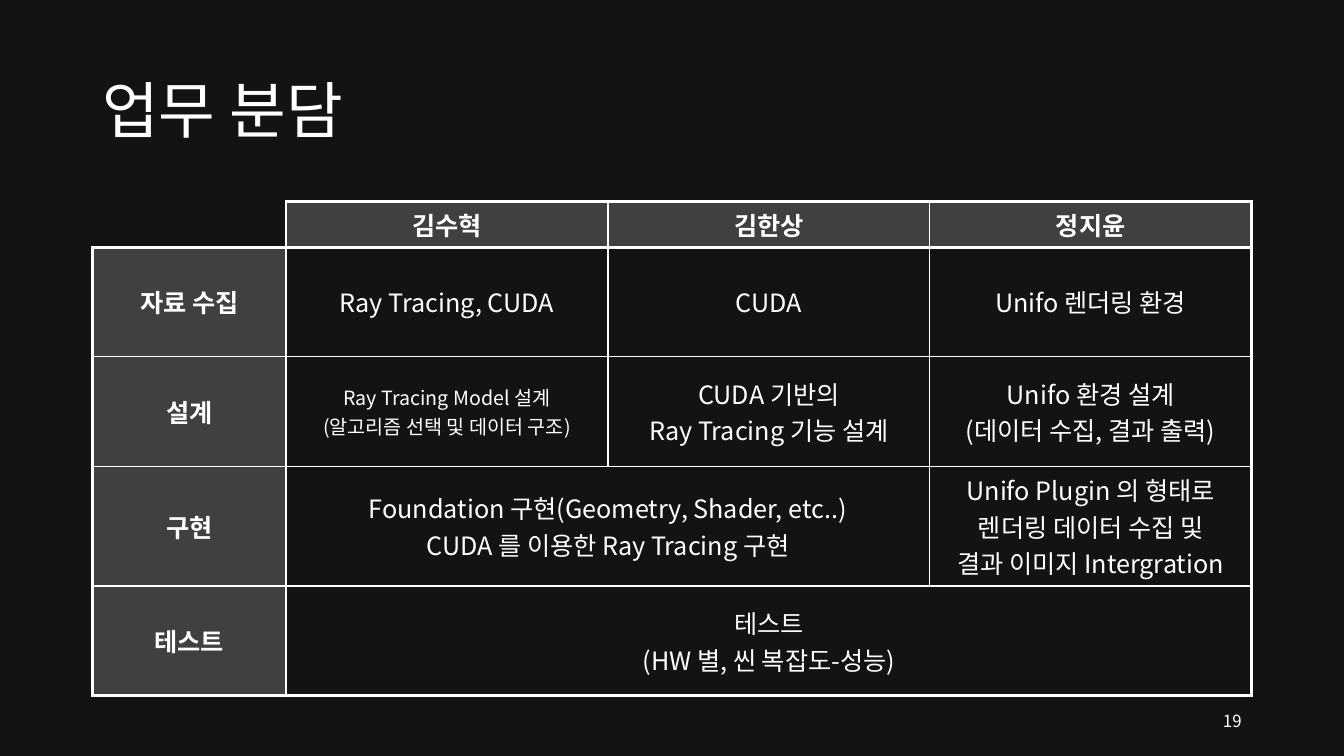
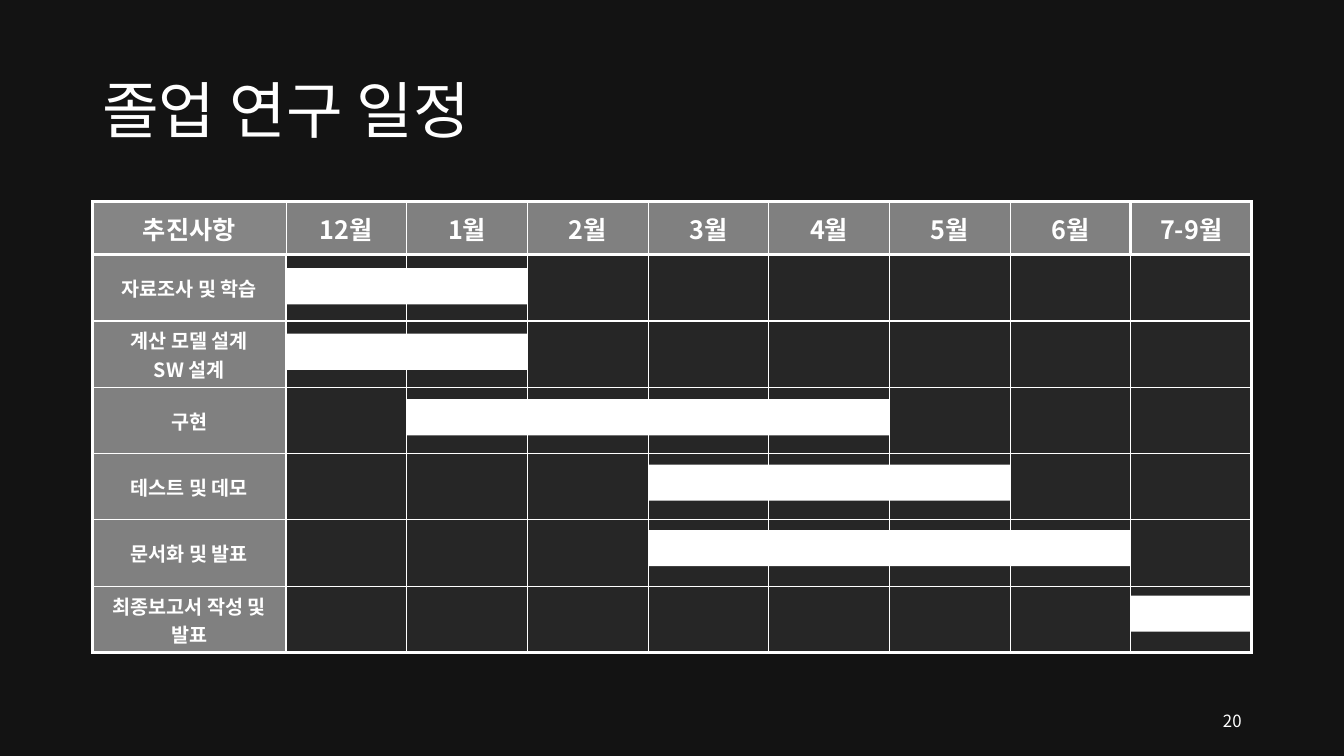
import pptx
import pptx.dml.color
import pptx.enum.shapes
import pptx.enum.text
import pptx.oxml.ns
import pptx.util
from lxml import etree

Cm = pptx.util.Cm
Pt = pptx.util.Pt
ALIGN = pptx.enum.text.PP_ALIGN

# Shared style
FONT = "Noto Sans CJK KR"
WHITE, BACKGROUND = "FFFFFF", "131313"
DARK_GREY, MID_GREY, CORNER_GREY, GRID_GREY = "404040", "808080", "858585", "262626"
NONE, THIN, THICK = 0, 1, 2.25
LEFT, WIDTH, TABLE_TOP = 2.33, 29.21, 5.08
LABEL_WIDTH = 4.88

# Slide 19: who does what; a cell is text, or (text, columns spanned)
ROLES_TITLE = "업무 분담"
ROLES = [
    ["", "김수혁", "김한상", "정지윤"],
    ["자료 수집", "Ray Tracing, CUDA", "CUDA", "Unifo 렌더링 환경"],
    ["설계", "Ray Tracing Model 설계\n(알고리즘 선택 및 데이터 구조)",
     "CUDA 기반의\nRay Tracing 기능 설계", "Unifo 환경 설계\n(데이터 수집, 결과 출력)"],
    ["구현", ("Foundation 구현(Geometry, Shader, etc..)\nCUDA 를 이용한 Ray Tracing 구현", 2),
     None, "Unifo Plugin 의 형태로\n렌더링 데이터 수집 및\n결과 이미지 Intergration"],
    ["테스트", ("테스트\n(HW 별, 씬 복잡도-성능)", 3), None, None],
]
ROLES_HEIGHTS = [1.15, 2.76, 2.76, 3.02, 2.76]
SMALL_ROLE = (2, 1)

# Slide 20: task, first month column, number of months
SCHEDULE_TITLE = "졸업 연구 일정"
SCHEDULE_HEADER = ["추진사항", "12월", "1월", "2월", "3월", "4월", "5월", "6월", "7-9월"]
TASKS = [
    ("자료조사 및 학습", 0, 2),
    ("계산 모델 설계\nSW 설계", 0, 2),
    ("구현", 1, 4),
    ("테스트 및 데모", 3, 3),
    ("문서화 및 발표", 3, 4),
    ("최종보고서 작성 및 발표", 7, 1),
]
SCHEDULE_HEIGHTS = [1.34] + [1.67] * len(TASKS)
BAR_OFFSET, BAR_HEIGHT, BAR_PITCH = 0.34, 0.91, 1.65


def color(value):
    return pptx.dml.color.RGBColor.from_string(value)


def write(frame, text, size, align, bold=False, line_spacing=None):
    frame.word_wrap = True
    frame.text = text
    for para in frame.paragraphs:
        para.alignment = align
        para.line_spacing = line_spacing
        for span in para.runs:
            span.font.size = Pt(size)
            span.font.bold = bold
            span.font.name = FONT
            span.font.color.rgb = color(WHITE)
            east_asian = etree.SubElement(span._r.get_or_add_rPr(), pptx.oxml.ns.qn("a:ea"))
            east_asian.set("typeface", FONT)


def add_text(page, place, text, size, align, line_spacing=None):
    box = page.shapes.add_textbox(*(Cm(length) for length in place))
    box.text_frame.vertical_anchor = pptx.enum.text.MSO_ANCHOR.MIDDLE
    write(box.text_frame, text, size, align, line_spacing=line_spacing)


def add_page(deck, title, number):
    page = deck.slides.add_slide(deck.slide_layouts[6])
    page.background.fill.solid()
    page.background.fill.fore_color.rgb = color(BACKGROUND)
    add_text(page, (LEFT, 1.02, WIDTH, 3.68), title, 44, ALIGN.LEFT, 0.9)
    add_text(page, (23.92, 17.66, 7.62, 1.02), str(number), 12, ALIGN.RIGHT)
    return page


def add_grid(page, heights, column_count):
    table = page.shapes.add_table(len(heights), column_count, Cm(LEFT), Cm(TABLE_TOP),
                                  Cm(WIDTH), Cm(sum(heights))).table
    table.first_row = table.horz_banding = False
    for row, height in zip(table.rows, heights):
        row.height = Cm(height)
    other_width = (WIDTH - LABEL_WIDTH) / (column_count - 1)
    for index, column in enumerate(table.columns):
        column.width = Cm(other_width if index else LABEL_WIDTH)
    return table


def set_borders(cell, widths):
    """widths maps L, R, T, B to points, in that order; 0 hides an edge."""
    properties = cell._tc.get_or_add_tcPr()
    for position, (side, points) in enumerate(widths.items()):
        line = etree.Element(pptx.oxml.ns.qn("a:ln" + side), w=str(Pt(points)))
        if points:
            fill = etree.SubElement(line, pptx.oxml.ns.qn("a:solidFill"))
            etree.SubElement(fill, pptx.oxml.ns.qn("a:srgbClr"), val=WHITE)
        else:
            etree.SubElement(line, pptx.oxml.ns.qn("a:noFill"))
        properties.insert(position, line)


def weight(edge, thick_edges):
    return THICK if edge in thick_edges else THIN


def fill_cell(cell, text, fill, size, bold):
    if fill:
        cell.fill.solid()
        cell.fill.fore_color.rgb = color(fill)
    else:
        cell.fill.background()
    cell.vertical_anchor = pptx.enum.text.MSO_ANCHOR.MIDDLE
    write(cell.text_frame, text, size, ALIGN.CENTER, bold)


def build_roles(deck):
    page = add_page(deck, ROLES_TITLE, 19)
    rows, columns = len(ROLES), len(ROLES[0])
    table = add_grid(page, ROLES_HEIGHTS, columns)
    for r, line in enumerate(ROLES):
        for c, content in enumerate(line):
            if content is None:
                continue
            text, span = content if isinstance(content, tuple) else (content, 1)
            cell = table.cell(r, c)
            if span > 1:
                cell.merge(table.cell(r, c + span - 1))
            heading = r == 0 or c == 0
            fill = DARK_GREY if heading else BACKGROUND
            fill_cell(cell, text, fill if text else None,
                      14 if (r, c) == SMALL_ROLE else 18, heading)
            # The empty corner keeps only its inner edges
            if not text:
                set_borders(cell, {"L": NONE, "R": THICK, "T": NONE, "B": THICK})
                continue
            across = {"T": weight(r, (0, 1, rows)), "B": weight(r + 1, (1, rows))}
            right = {"R": weight(c + span, (1, columns))}
            set_borders(cell, {"L": weight(c, (0, 1)), **right, **across})
            for hidden in range(c + 1, c + span):
                last = right if hidden == c + span - 1 else {}
                set_borders(table.cell(r, hidden), {**last, **across})


def build_schedule(deck):
    page = add_page(deck, SCHEDULE_TITLE, 20)
    rows, columns = len(SCHEDULE_HEIGHTS), len(SCHEDULE_HEADER)
    table = add_grid(page, SCHEDULE_HEIGHTS, columns)
    lines = [SCHEDULE_HEADER] + [[task] + [""] * (columns - 1) for task, *_ in TASKS]
    for r, line in enumerate(lines):
        thick_columns = (0, 1, columns) if r else (0, columns - 1, columns)
        for c, text in enumerate(line):
            cell = table.cell(r, c)
            fill = GRID_GREY if r and c else MID_GREY if r or c else CORNER_GREY
            fill_cell(cell, text, fill, 14 if r else 18, True)
            set_borders(cell, {"L": weight(c, thick_columns), "R": weight(c + 1, thick_columns),
                               "T": weight(r, (0, 1)), "B": weight(r + 1, (1, rows))})

    # Bars over the months
    month_width = (WIDTH - LABEL_WIDTH) / (columns - 1)
    first_top = TABLE_TOP + SCHEDULE_HEIGHTS[0] + BAR_OFFSET
    for index, (_, start, months) in enumerate(TASKS):
        bar = page.shapes.add_shape(
            pptx.enum.shapes.MSO_SHAPE.RECTANGLE,
            Cm(LEFT + LABEL_WIDTH + start * month_width), Cm(first_top + index * BAR_PITCH),
            Cm(months * month_width), Cm(BAR_HEIGHT))
        bar.shadow.inherit = False
        bar.fill.solid()
        bar.fill.fore_color.rgb = color(WHITE)
        bar.line.fill.background()


def main():
    deck = pptx.Presentation()
    deck.slide_width, deck.slide_height = Cm(33.87), Cm(19.05)
    build_roles(deck)
    build_schedule(deck)
    deck.save("out.pptx")


if __name__ == "__main__":
    main()
